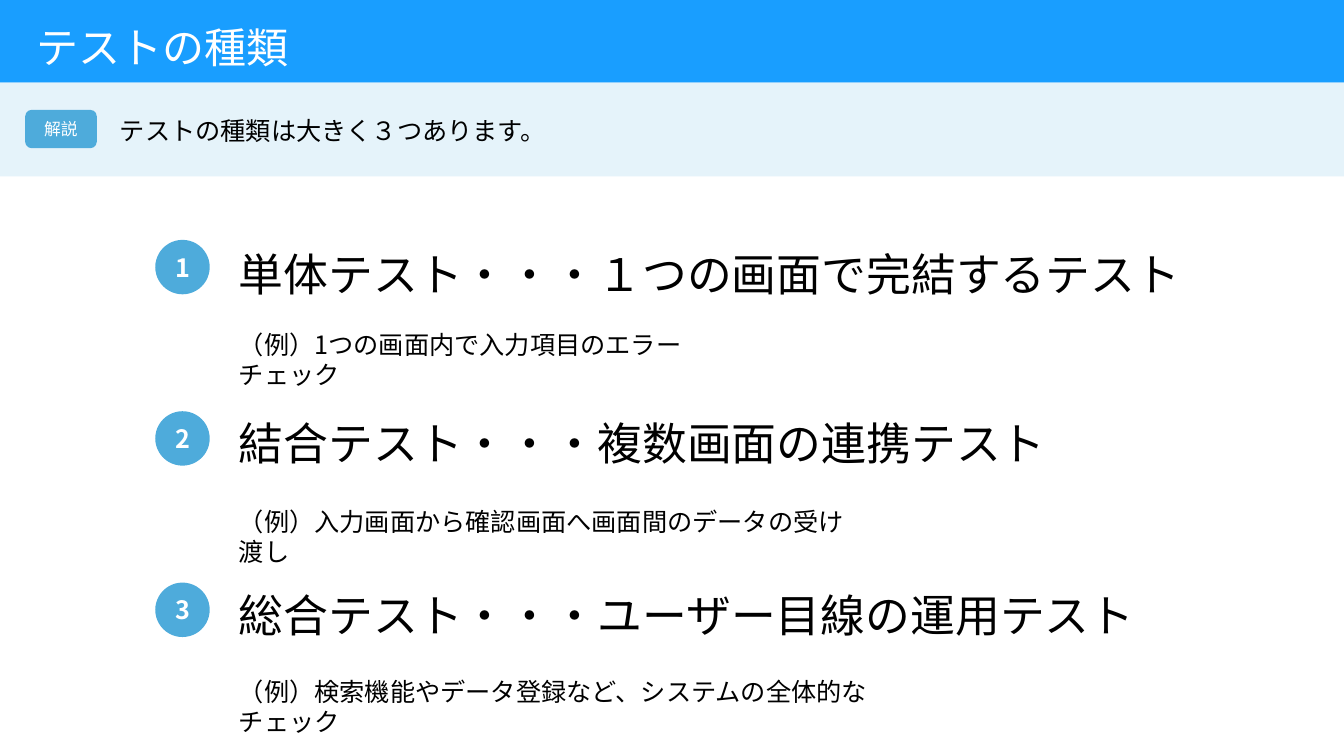
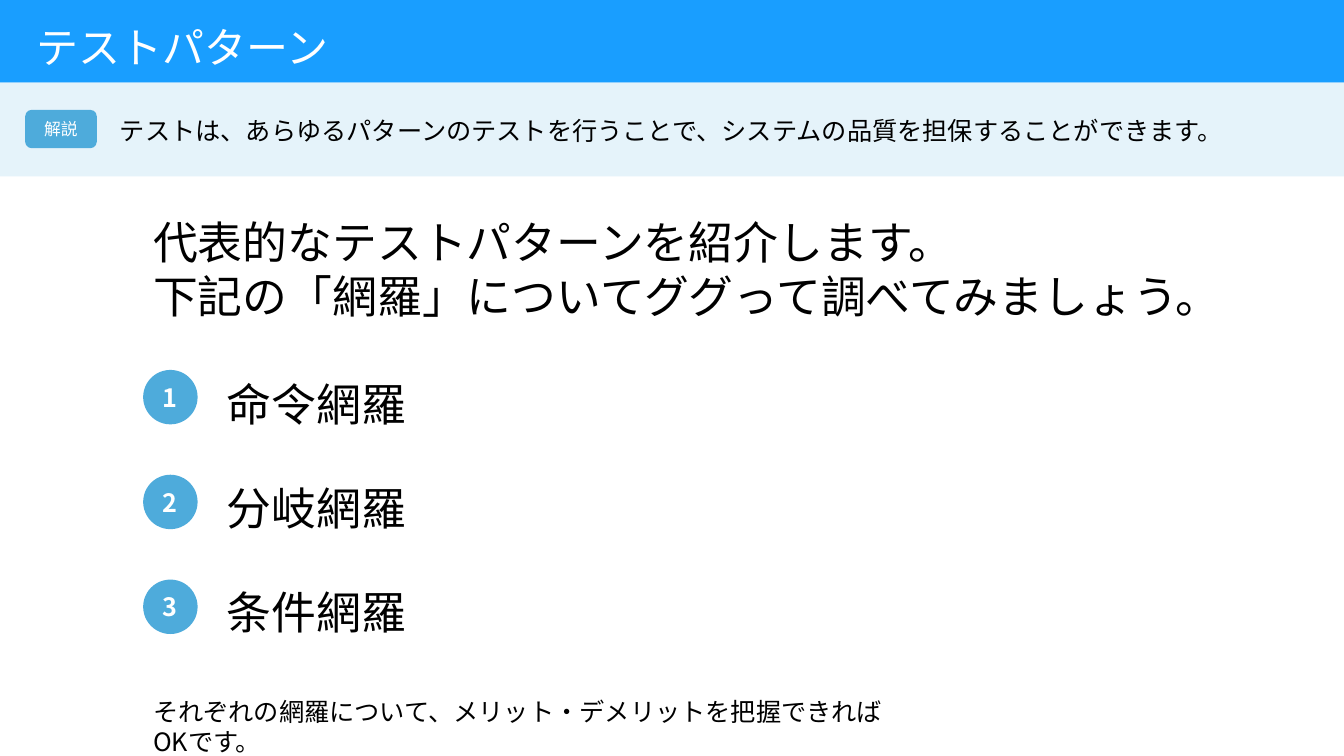
from pptx import Presentation
from pptx.dml.color import RGBColor
from pptx.enum.shapes import MSO_SHAPE
from pptx.enum.text import MSO_ANCHOR, PP_ALIGN
from pptx.util import Emu, Pt

RECTANGLE = MSO_SHAPE.RECTANGLE
ROUNDED = MSO_SHAPE.ROUNDED_RECTANGLE
OVAL = MSO_SHAPE.OVAL
TOP = MSO_ANCHOR.TOP
MIDDLE = MSO_ANCHOR.MIDDLE
LEFT = PP_ALIGN.LEFT
CENTER = PP_ALIGN.CENTER

EMU_PER_PX = 9144
PAGE_WIDTH, PAGE_HEIGHT = 1333, 750


def px(length):
    return Emu(length * EMU_PER_PX)


def color(value):
    return RGBColor.from_string(value)


class Lesson:
    TITLE_BAND = "199EFF"
    INTRO_BAND = "E5F3FA"
    ACCENT = "4EABDB"
    WHITE = "FFFFFF"
    BLACK = "000000"
    BODY_FONT = "Noto Sans CJK JP"
    TITLE_FONT = "Montserrat"
    INTRO_FONT = "Lato"
    LABEL_FONT = "Arial"
    HEADING_SIZE = 32
    BODY_SIZE = 18

    def __init__(self):
        self.deck = Presentation()
        self.deck.slide_width = px(PAGE_WIDTH)
        self.deck.slide_height = px(PAGE_HEIGHT)
        self.page = None

    def set_text(self, shape, text, size, font=BODY_FONT, ink=BLACK,
                 anchor=TOP, align=LEFT, bold=False, spacing=None):
        frame = shape.text_frame
        frame.text = text
        frame.word_wrap = True
        frame.vertical_anchor = anchor
        for para in frame.paragraphs:
            para.alignment = align
            para.line_spacing = spacing
            for span in para.runs:
                span.font.name = font
                span.font.size = Pt(size)
                span.font.bold = bold
                span.font.color.rgb = color(ink)

    def shape(self, kind, left, top, width, height, fill):
        shape = self.page.shapes.add_shape(
            kind, px(left), px(top), px(width), px(height))
        shape.shadow.inherit = False
        shape.fill.solid()
        shape.fill.fore_color.rgb = color(fill)
        shape.line.fill.background()
        return shape

    def text(self, left, top, width, height, text, size, **style):
        box = self.page.shapes.add_textbox(
            px(left), px(top), px(width), px(height))
        self.set_text(box, text, size, **style)

    def heading(self, left, top, width, text, height=64):
        self.text(left, top, width, height, text, self.HEADING_SIZE)

    def note(self, left, top, width, text):
        self.text(left, top, width, 40, text, self.BODY_SIZE)

    def badge(self, left, top, number):
        circle = self.shape(OVAL, left, top, 54, 54, self.ACCENT)
        self.set_text(circle, str(number), self.BODY_SIZE, ink=self.WHITE,
                      anchor=MIDDLE, align=CENTER, bold=True)

    def item(self, left, number, badge_top, heading_top, width, text):
        self.badge(left, badge_top, number)
        self.heading(left + 73, heading_top, width, text)

    def start_page(self, title, intro):
        self.page = self.deck.slides.add_slide(self.deck.slide_layouts[6])
        self.shape(RECTANGLE, 0, 0, PAGE_WIDTH, 82, self.TITLE_BAND)
        self.text(26, 17, 1192, 65, title, 30, font=self.TITLE_FONT,
                  ink=self.WHITE, anchor=MIDDLE, spacing=0.9)
        self.shape(RECTANGLE, 0, 82, PAGE_WIDTH, 93, self.INTRO_BAND)
        label = self.shape(ROUNDED, 25, 109, 71, 38, self.ACCENT)
        self.set_text(label, "解説", 12, font=self.LABEL_FONT, ink=self.WHITE,
                      anchor=MIDDLE, align=CENTER)
        self.text(109, 109, 1212, 40, intro, self.BODY_SIZE,
                  font=self.INTRO_FONT, anchor=MIDDLE)


def build_test_types(lesson):
    lesson.start_page("テストの種類", "テストの種類は大きく３つあります。")
    types = [
        (238, 240, 978, "単体テスト・・・１つの画面で完結するテスト",
         322, 508, "（例）1つの画面内で入力項目のエラーチェック"),
        (408, 408, 828, "結合テスト・・・複数画面の連携テスト",
         497, 631, "（例）入力画面から確認画面へ画面間のデータの受け渡し"),
        (578, 578, 918, "総合テスト・・・ユーザー目線の運用テスト",
         666, 699, "（例）検索機能やデータ登録など、システムの全体的なチェック"),
    ]
    for number, row in enumerate(types, 1):
        badge_top, heading_top, width, name, note_top, note_width, example = row
        lesson.item(154, number, badge_top, heading_top, width, name)
        lesson.note(227, note_top, note_width, example)


def build_test_patterns(lesson):
    lesson.start_page(
        "テストパターン",
        "テストは、あらゆるパターンのテストを行うことで、"
        "システムの品質を担保することができます。")
    lesson.heading(
        142, 208, 1141,
        "代表的なテストパターンを紹介します。\n"
        "下記の「網羅」についてググって調べてみましょう。", height=118)
    patterns = ["命令網羅", "分岐網羅", "条件網羅"]
    for index, name in enumerate(patterns):
        lesson.item(142, index + 1, 367 + 104 * index, 369 + 103 * index,
                    200, name)
    lesson.note(142, 686, 748,
                "それぞれの網羅について、メリット・デメリットを把握できればOKです。")


def main():
    lesson = Lesson()
    build_test_types(lesson)
    build_test_patterns(lesson)
    lesson.deck.save("out.pptx")


if __name__ == "__main__":
    main()
